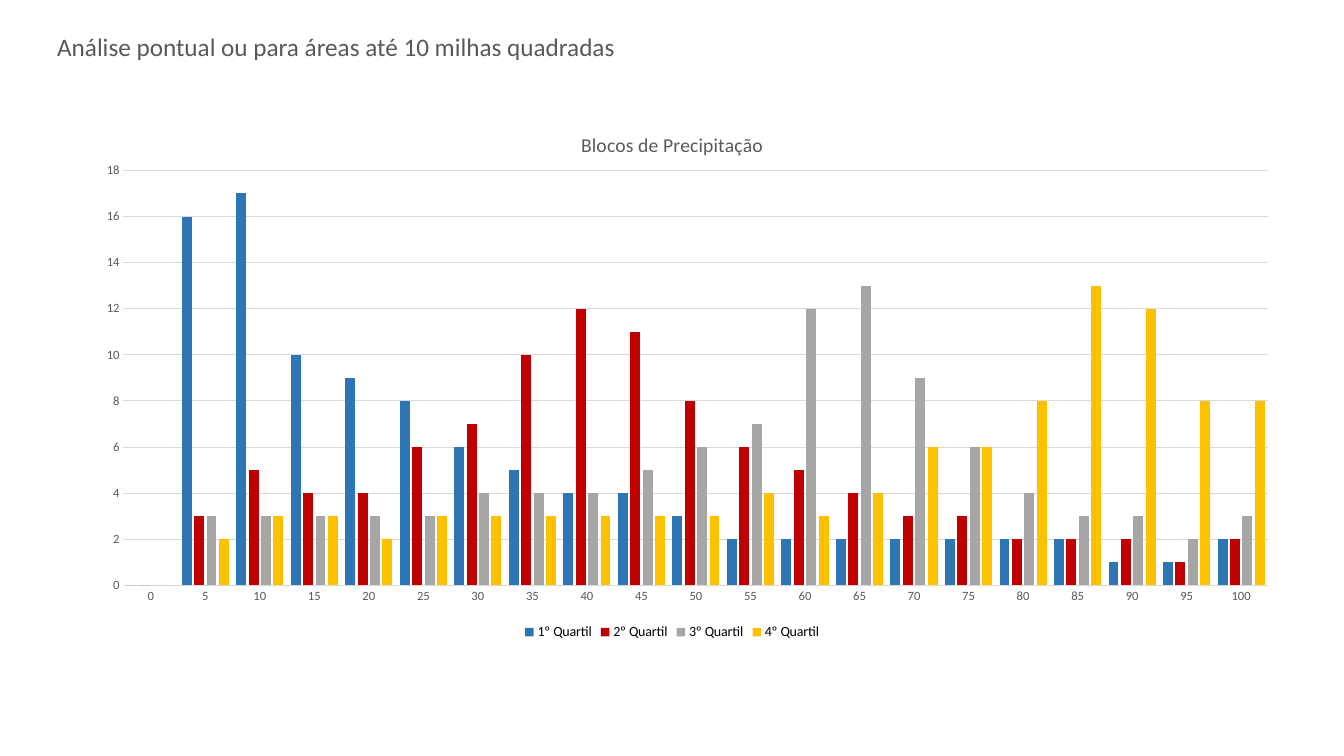
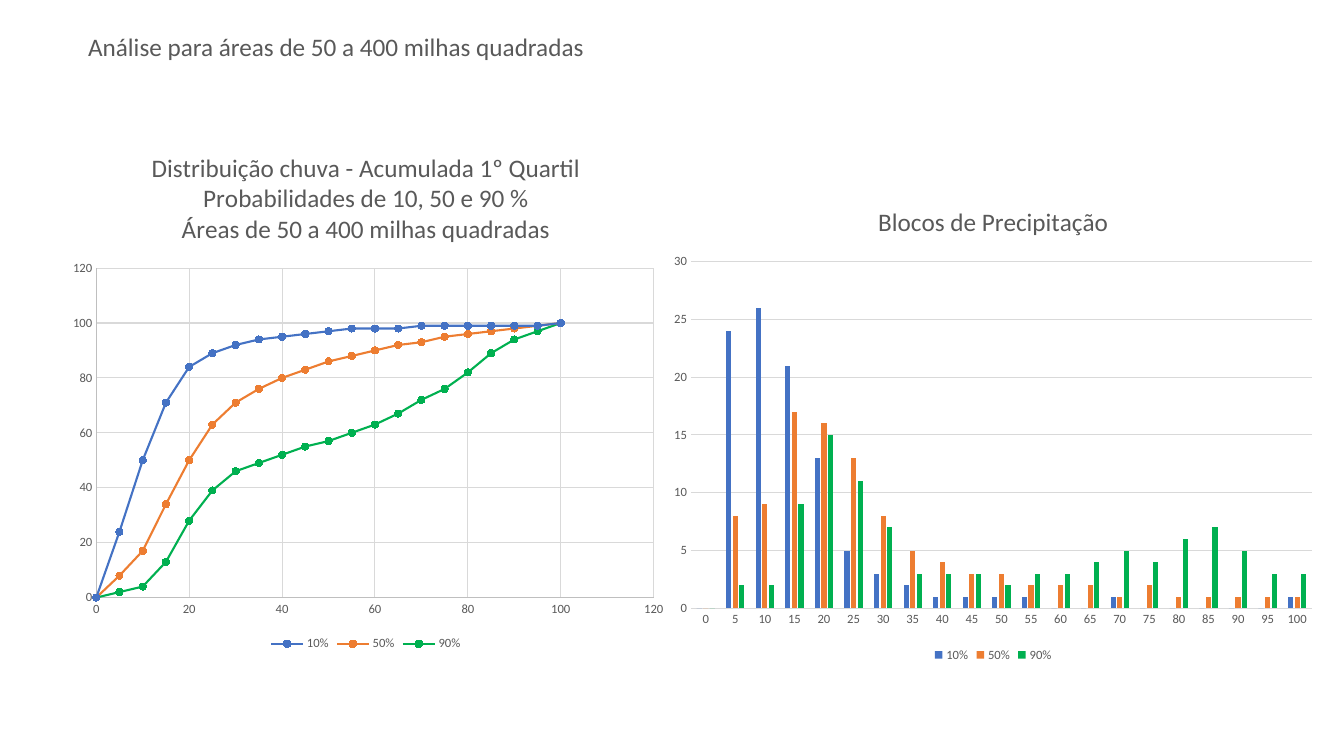
import itertools

import lxml.etree
import pptx
import pptx.chart.data
import pptx.dml.color
import pptx.enum.chart
import pptx.enum.text
import pptx.oxml.ns
import pptx.util

Cm = pptx.util.Cm
Pt = pptx.util.Pt
RGBColor = pptx.dml.color.RGBColor
ChartType = pptx.enum.chart.XL_CHART_TYPE

TEXT = RGBColor(0x59, 0x59, 0x59)
BLACK = RGBColor(0x00, 0x00, 0x00)
GRID = RGBColor(0xD9, 0xD9, 0xD9)
SCATTER_AXIS = RGBColor(0xBF, 0xBF, 0xBF)
DARK_BLUE = RGBColor(0x2E, 0x75, 0xB6)
RED = RGBColor(0xC0, 0x00, 0x00)
GRAY = RGBColor(0xA6, 0xA6, 0xA6)
YELLOW = RGBColor(0xFF, 0xC0, 0x00)
BLUE = RGBColor(0x44, 0x72, 0xC4)
ORANGE = RGBColor(0xED, 0x7D, 0x31)
GREEN = RGBColor(0x00, 0xB0, 0x50)
FONT = "Calibri"

DURATIONS = range(0, 101, 5)
BLOCKS_TITLE = "Blocos de Precipitação"
QUARTILES = {
    "1º Quartil": [0, 16, 17, 10, 9, 8, 6, 5, 4, 4, 3, 2, 2, 2, 2, 2, 2, 2, 1, 1, 2],
    "2º Quartil": [0, 3, 5, 4, 4, 6, 7, 10, 12, 11, 8, 6, 5, 4, 3, 3, 2, 2, 2, 1, 2],
    "3º Quartil": [0, 3, 3, 3, 3, 3, 4, 4, 4, 5, 6, 7, 12, 13, 9, 6, 4, 3, 3, 2, 3],
    "4º Quartil": [0, 2, 3, 3, 2, 3, 3, 3, 3, 3, 3, 4, 3, 4, 6, 6, 8, 13, 12, 8, 8],
}
ACCUMULATED = {
    "10%": [0, 24, 50, 71, 84, 89, 92, 94, 95, 96, 97,
            98, 98, 98, 99, 99, 99, 99, 99, 99, 100],
    "50%": [0, 8, 17, 34, 50, 63, 71, 76, 80, 83, 86,
            88, 90, 92, 93, 95, 96, 97, 98, 99, 100],
    "90%": [0, 2, 4, 13, 28, 39, 46, 49, 52, 55, 57,
            60, 63, 67, 72, 76, 82, 89, 94, 97, 100],
}
INCREMENTS = {
    name: [0] + [after - before for before, after in itertools.pairwise(values)]
    for name, values in ACCUMULATED.items()
}
QUARTILE_COLORS = [DARK_BLUE, RED, GRAY, YELLOW]
PROBABILITY_COLORS = [BLUE, ORANGE, GREEN]

SLIDES = [
    {
        "title": "Análise pontual ou para áreas até 10 milhas quadradas",
        "charts": [
            {
                "type": ChartType.COLUMN_CLUSTERED,
                "title": [BLOCKS_TITLE], "title_size": 14,
                "box": (1.91, 2.82, 30.07, 13.41),
                "plot": (0.04, 0.11, 0.96, 0.78),
                "data": QUARTILES, "colors": QUARTILE_COLORS,
                "maximum": 18, "step": 2,
                "bars": {"gap_width": 75, "overlap": -25},
                "legend_size": 10, "legend_color": BLACK,
            },
        ],
    },
    {
        "title": "Análise para áreas de 50 a 400 milhas quadradas",
        "charts": [
            {
                "type": ChartType.XY_SCATTER_SMOOTH,
                "title": [
                    "Distribuição chuva - Acumulada 1º Quartil",
                    "Probabilidades de 10, 50 e 90 %",
                    "Áreas de 50 a 400 milhas quadradas",
                ],
                "title_size": 18,
                "box": (1.5, 3.33, 15.44, 13.18),
                "plot": (0.06, 0.26, 0.91, 0.63),
                "data": ACCUMULATED, "colors": PROBABILITY_COLORS,
                "maximum": 120, "step": 20,
                "legend_size": 9, "legend_color": TEXT,
            },
            {
                "type": ChartType.COLUMN_CLUSTERED,
                "title": [BLOCKS_TITLE], "title_size": 18,
                "box": (16.66, 4.65, 16.74, 12.14),
                "plot": (0.045, 0.16, 0.935, 0.72),
                "data": INCREMENTS, "colors": PROBABILITY_COLORS,
                "maximum": 30, "step": 5,
                "bars": {"gap_width": 219, "overlap": -27},
                "legend_size": 9, "legend_color": TEXT,
            },
        ],
    },
]


def set_font(font, size, color):
    values = {"name": FONT, "size": Pt(size), "bold": False}
    for attribute, value in values.items():
        setattr(font, attribute, value)
    font.color.rgb = color


def place_plot(chart, fractions):
    qn = pptx.oxml.ns.qn
    plot_area = chart.element.find(".//" + qn("c:plotArea"))
    for layout in plot_area.findall(qn("c:layout")):
        plot_area.remove(layout)
    layout = lxml.etree.Element(qn("c:layout"))
    manual = lxml.etree.SubElement(layout, qn("c:manualLayout"))
    settings = [("layoutTarget", "inner"), ("xMode", "edge"), ("yMode", "edge")]
    settings += zip("xywh", fractions)
    for tag, value in settings:
        lxml.etree.SubElement(manual, qn("c:" + tag)).set("val", str(value))
    plot_area.insert(0, layout)


presentation = pptx.Presentation()
presentation.slide_width = Cm(33.87)
presentation.slide_height = Cm(19.05)

for content in SLIDES:
    slide = presentation.slides.add_slide(presentation.slide_layouts[6])

    for chart_content in content["charts"]:
        is_scatter = chart_content["type"] == ChartType.XY_SCATTER_SMOOTH
        if is_scatter:
            chart_data = pptx.chart.data.XyChartData()
            for name, values in chart_content["data"].items():
                series_data = chart_data.add_series(name)
                for duration, value in zip(DURATIONS, values):
                    series_data.add_data_point(duration, value)
        else:
            chart_data = pptx.chart.data.CategoryChartData(number_format="0")
            chart_data.categories = [str(duration) for duration in DURATIONS]
            for name, values in chart_content["data"].items():
                chart_data.add_series(name, values)

        box = [Cm(length) for length in chart_content["box"]]
        chart = slide.shapes.add_chart(chart_content["type"], *box, chart_data).chart
        set_font(chart.font, 10, BLACK)
        place_plot(chart, chart_content["plot"])

        chart.has_title = True
        title_frame = chart.chart_title.text_frame
        title_frame.text = "\n".join(chart_content["title"])
        for paragraph in title_frame.paragraphs:
            set_font(paragraph.runs[0].font, chart_content["title_size"], TEXT)

        chart.has_legend = True
        chart.legend.position = pptx.enum.chart.XL_LEGEND_POSITION.BOTTOM
        chart.legend.include_in_layout = False
        set_font(chart.legend.font, chart_content["legend_size"],
                 chart_content["legend_color"])

        scale = {
            "minimum_scale": 0,
            "maximum_scale": chart_content["maximum"],
            "major_unit": chart_content["step"],
        }
        for axis in (chart.category_axis, chart.value_axis):
            is_value = is_scatter or axis is not chart.category_axis
            is_value = is_scatter or hasattr(axis, "major_unit")
            axis.major_tick_mark = pptx.enum.chart.XL_TICK_MARK.NONE
            axis.minor_tick_mark = pptx.enum.chart.XL_TICK_MARK.NONE
            axis.has_major_gridlines = is_value
            set_font(axis.tick_labels.font, 9, TEXT)
            if is_value:
                for attribute, value in scale.items():
                    setattr(axis, attribute, value)
                axis.tick_labels.number_format = "0"
                axis.tick_labels.number_format_is_linked = False
                axis.major_gridlines.format.line.color.rgb = GRID
                axis.major_gridlines.format.line.width = Pt(0.75)
            if is_value and not is_scatter:
                axis.format.line.fill.background()
            else:
                axis.format.line.color.rgb = SCATTER_AXIS if is_scatter else GRID
                axis.format.line.width = Pt(0.75)

        plot = chart.plots[0]
        plot.vary_by_categories = False
        for attribute, value in chart_content.get("bars", {}).items():
            setattr(plot, attribute, value)
        for series, color in zip(plot.series, chart_content["colors"]):
            if is_scatter:
                series.smooth = True
                series.format.line.color.rgb = color
                series.format.line.width = Pt(1.5)
                series.marker.style = pptx.enum.chart.XL_MARKER_STYLE.CIRCLE
                series.marker.size = 5
                series.marker.format.fill.solid()
                series.marker.format.fill.fore_color.rgb = color
                series.marker.format.line.color.rgb = color
            else:
                series.invert_if_negative = False
                series.format.fill.solid()
                series.format.fill.fore_color.rgb = color

    heading = slide.shapes.add_textbox(Cm(0), Cm(0.66), Cm(16.94), Cm(1.02))
    heading.text_frame.word_wrap = True
    heading.text_frame.auto_size = pptx.enum.text.MSO_AUTO_SIZE.SHAPE_TO_FIT_TEXT
    paragraph = heading.text_frame.paragraphs[0]
    paragraph.text = content["title"]
    paragraph.alignment = pptx.enum.text.PP_ALIGN.CENTER
    set_font(paragraph.runs[0].font, 18, TEXT)

presentation.save("out.pptx")
